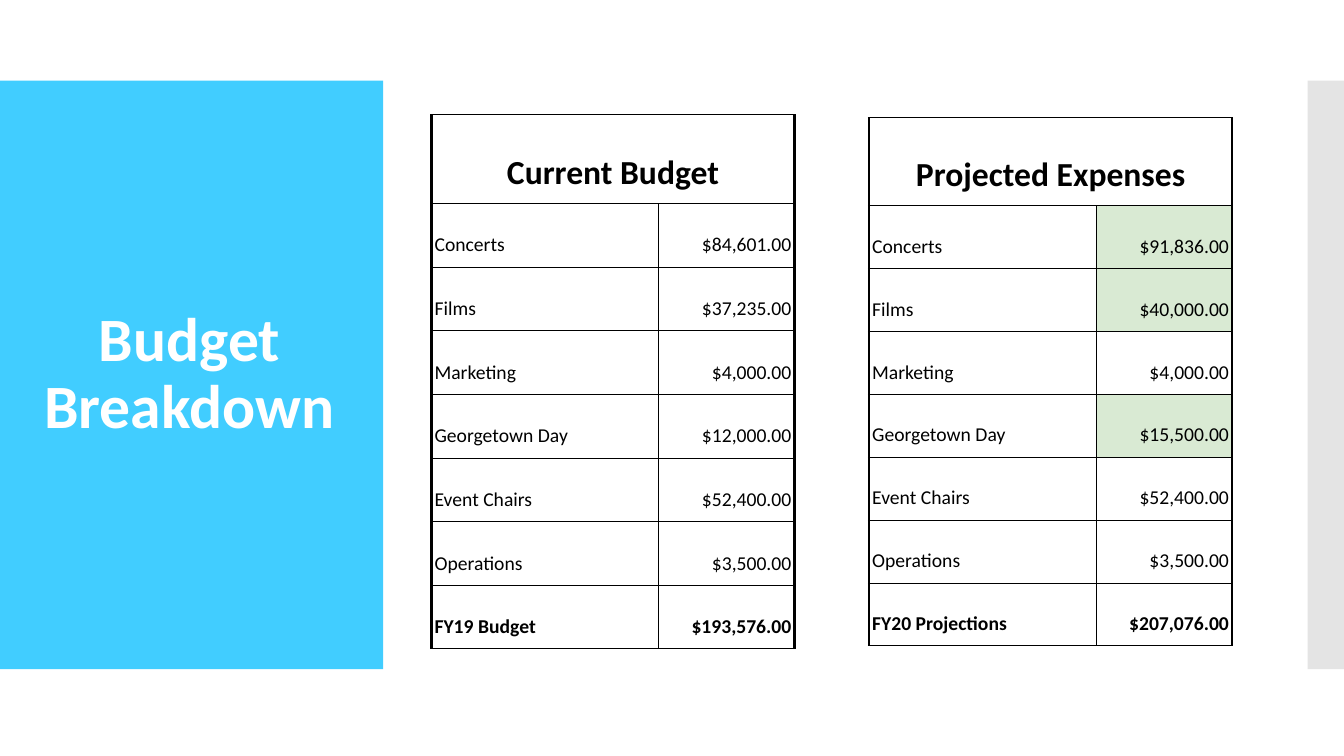
from dataclasses import dataclass

from lxml.etree import SubElement
from pptx import Presentation
from pptx.dml.color import RGBColor
from pptx.enum.shapes import MSO_SHAPE
from pptx.enum.text import MSO_ANCHOR, MSO_AUTO_SIZE, PP_ALIGN
from pptx.oxml.ns import qn
from pptx.util import Inches, Pt


@dataclass(frozen=True)
class Theme:
    font: str = "Calibri"
    panel: str = "41CDFF"
    edge: str = "E4E4E4"
    raised: str = "D9EAD3"
    ink: str = "000000"
    white: str = "FFFFFF"
    title_size: int = 44
    heading_size: int = 24
    body_size: int = 14
    thin: float = 0.75
    thick: float = 2.25


THEME = Theme()
BAND_TOP, BAND_HEIGHT = 0.8, 5.84
ITEMS = ["Concerts", "Films", "Marketing", "Georgetown Day", "Event Chairs", "Operations"]
CURRENT = ["$84,601.00", "$37,235.00", "$4,000.00", "$12,000.00", "$52,400.00", "$3,500.00"]
PROJECTED = ["$91,836.00", "$40,000.00", "$4,000.00", "$15,500.00", "$52,400.00", "$3,500.00"]


def write(text_frame, text, size=THEME.body_size, color=THEME.ink, bold=False,
          align=PP_ALIGN.LEFT, spacing=1.15):
    paragraph = text_frame.paragraphs[0]
    paragraph.alignment = align
    paragraph.line_spacing = spacing
    run = paragraph.add_run()
    run.text = text
    run.font.name = THEME.font
    run.font.size = Pt(size)
    run.font.bold = bold
    run.font.color.rgb = RGBColor.from_string(color)


def add_band(slide, left, width, color):
    shape = slide.shapes.add_shape(MSO_SHAPE.RECTANGLE, Inches(left), Inches(BAND_TOP),
                                   Inches(width), Inches(BAND_HEIGHT))
    shape.shadow.inherit = False
    shape.fill.solid()
    shape.fill.fore_color.rgb = RGBColor.from_string(color)
    shape.line.fill.background()
    return shape


def add_title_panel(slide, left, width, text):
    panel = add_band(slide, left, width, THEME.panel)
    title = slide.shapes.title
    title.element.addprevious(panel.element)
    title.left, title.top = Inches(left + 0.24), Inches(BAND_TOP + 0.19)
    title.width, title.height = Inches(width - 0.52), Inches(BAND_HEIGHT - 0.38)
    frame = title.text_frame
    frame.auto_size = MSO_AUTO_SIZE.NONE
    frame.word_wrap = True
    frame.vertical_anchor = MSO_ANCHOR.MIDDLE
    write(frame, text, size=THEME.title_size, color=THEME.white, bold=True,
          align=PP_ALIGN.CENTER, spacing=0.9)


def set_borders(cell, left, right):
    properties = cell._tc.get_or_add_tcPr()
    sides = {"a:lnL": left, "a:lnR": right, "a:lnT": THEME.thin, "a:lnB": THEME.thin}
    for tag, width in sides.items():
        line = SubElement(properties, qn(tag), w=str(Pt(width)))
        SubElement(SubElement(line, qn("a:solidFill")), qn("a:srgbClr"), val=THEME.ink)


def format_cell(cell, first, last, fill=None):
    cell.margin_left = cell.margin_right = Inches(0.03)
    cell.margin_top = cell.margin_bottom = Inches(0.1)
    cell.vertical_anchor = MSO_ANCHOR.BOTTOM
    set_borders(cell, THEME.thick if first else THEME.thin,
                THEME.thick if last else THEME.thin)
    if fill:
        cell.fill.solid()
        cell.fill.fore_color.rgb = RGBColor.from_string(fill)
    else:
        cell.fill.background()


def add_budget_table(slide, box, heading, heading_height, amounts, total, raised=()):
    """Draw a heading, the budget items and a bold total row; tint the raised items."""
    left, top, width, height = box
    rows = [*zip(ITEMS, amounts), total]
    table = slide.shapes.add_table(len(rows) + 1, 2, *map(Inches, box)).table
    table.first_row = table.horz_banding = False
    table.columns[0].width = Inches(width * 0.625)
    table.columns[1].width = Inches(width * 0.375)

    table.rows[0].height = Inches(heading_height)
    for cell in table.rows[0].cells:
        format_cell(cell, True, True)
    table.cell(0, 0).merge(table.cell(0, 1))
    write(table.cell(0, 0).text_frame, heading, size=THEME.heading_size, bold=True,
          align=PP_ALIGN.CENTER)

    for index, (item, amount) in enumerate(rows, start=1):
        table.rows[index].height = Inches((height - heading_height) / len(rows))
        bold = index == len(rows)
        label_cell, amount_cell = table.rows[index].cells
        format_cell(label_cell, True, False)
        format_cell(amount_cell, False, True, THEME.raised if item in raised else None)
        write(label_cell.text_frame, item, bold=bold)
        write(amount_cell.text_frame, amount, bold=bold, align=PP_ALIGN.RIGHT)


def main():
    presentation = Presentation()
    presentation.slide_width, presentation.slide_height = Inches(13.33), Inches(7.5)
    slide = presentation.slides.add_slide(presentation.slide_layouts[5])
    add_title_panel(slide, 0, 3.8, "Budget Breakdown")
    add_budget_table(slide, (4.28, 1.14, 3.6, 5.3), "Current Budget", 0.88, CURRENT,
                     ("FY19 Budget", "$193,576.00"))
    add_budget_table(slide, (8.62, 1.17, 3.6, 5.24), "Projected Expenses", 0.87, PROJECTED,
                     ("FY20 Projections", "$207,076.00"),
                     raised=("Concerts", "Films", "Georgetown Day"))
    add_band(slide, 12.97, 0.36, THEME.edge)
    presentation.save("out.pptx")


if __name__ == "__main__":
    main()
